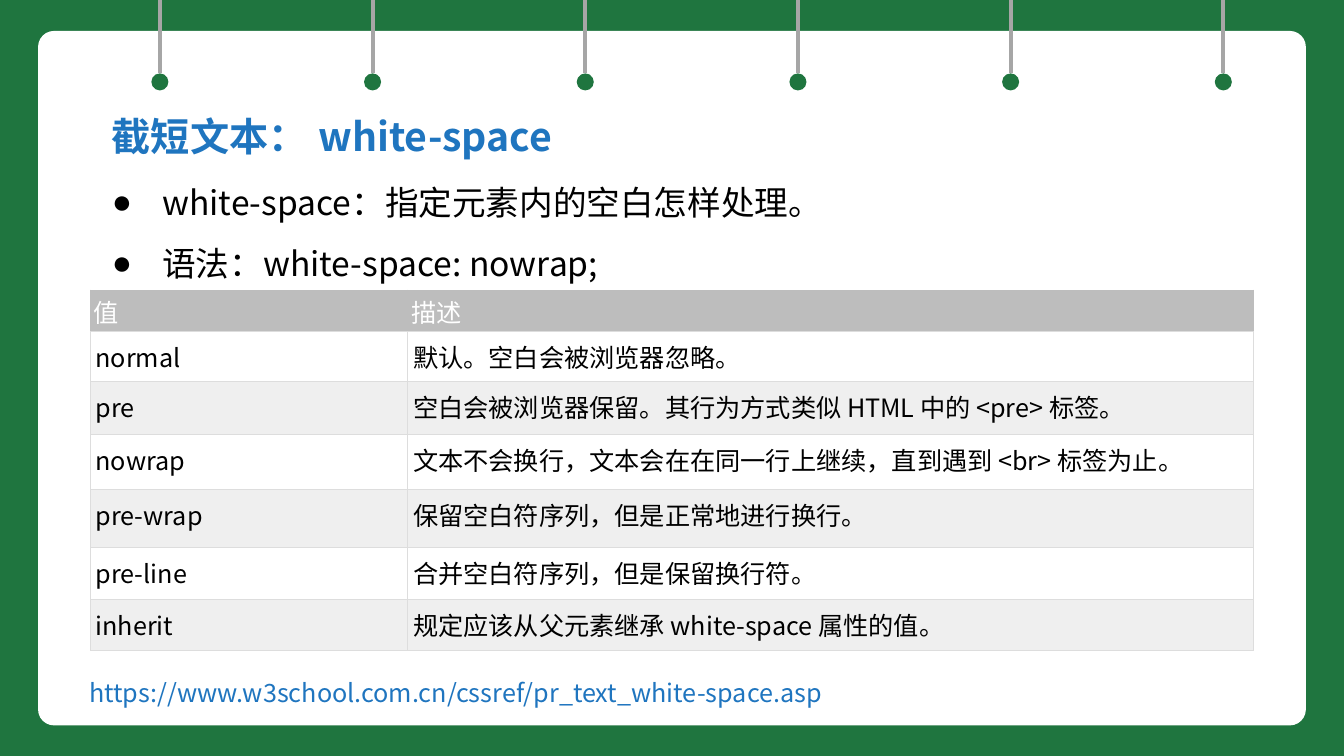
from dataclasses import dataclass

from lxml import etree
from pptx import Presentation
from pptx.dml.color import RGBColor
from pptx.enum.shapes import MSO_CONNECTOR, MSO_SHAPE
from pptx.enum.text import MSO_ANCHOR, MSO_AUTO_SIZE
from pptx.oxml.ns import qn
from pptx.util import Cm, Pt

ROUNDED, OVAL = MSO_SHAPE.ROUNDED_RECTANGLE, MSO_SHAPE.OVAL
STRAIGHT = MSO_CONNECTOR.STRAIGHT
TOP = MSO_ANCHOR.TOP
GROW = MSO_AUTO_SIZE.SHAPE_TO_FIT_TEXT

# Content
TITLE = [("截短文本", "Noto Sans CJK SC"), ("： ", "Arial"),
         ("white-space", "Noto Sans CJK SC")]
POINTS = ["white-space：指定元素内的空白怎样处理。", "语法：white-space: nowrap;"]
VALUES = [
    ("值", "描述"),
    ("normal", "默认。空白会被浏览器忽略。"),
    ("pre", "空白会被浏览器保留。其行为方式类似 HTML 中的 <pre> 标签。"),
    ("nowrap", "文本不会换行，文本会在在同一行上继续，直到遇到 <br> 标签为止。"),
    ("pre-wrap", "保留空白符序列，但是正常地进行换行。"),
    ("pre-line", "合并空白符序列，但是保留换行符。"),
    ("inherit", "规定应该从父元素继承 white-space 属性的值。"),
]
REFERENCE = "https://www.w3school.com.cn/cssref/pr_text_white-space.asp"

# Layout in centimetres
COLUMN_WIDTHS = [8.0, 21.31]
ROW_HEIGHTS = [1.04, 1.26, 1.33, 1.39, 1.46, 1.31, 1.29]
PIN_COUNT, PIN_FIRST, PIN_STEP = 6, 4.03, 5.36
PIN_LENGTH, PIN_SIZE = 1.85, 0.43


@dataclass(frozen=True)
class Theme:
    font: str = "Noto Sans CJK SC"
    green: str = "1F753F"
    blue: str = "1F75BF"
    white: str = "FFFFFF"
    black: str = "000000"
    cord: str = "A6A6A6"
    header: str = "BDBDBD"
    band: str = "EFEFEF"
    border: str = "DDDDDD"
    title_size: int = 28
    point_size: int = 24
    small_size: int = 18


THEME = Theme()


def rgb(code):
    return RGBColor.from_string(code)


def write(paragraph, text, *, size, color, font=THEME.font, bold=False, spacing=None):
    run = paragraph.add_run()
    run.text = text
    run.font.size, run.font.bold, run.font.name = Pt(size), bold, font
    run.font.color.rgb = rgb(color)
    etree.SubElement(run.font._element, qn("a:ea"), typeface=font)
    if spacing:
        paragraph.line_spacing = spacing


def add_box(slide, *place):
    frame = slide.shapes.add_textbox(*map(Cm, place)).text_frame
    frame.word_wrap = True
    frame.auto_size = GROW
    return frame


def add_plain(slide, kind, color, *place):
    shape = slide.shapes.add_shape(kind, *map(Cm, place))
    shape.shadow.inherit = False
    shape.fill.solid()
    shape.fill.fore_color.rgb = rgb(color)
    shape.line.fill.background()
    return shape


def add_bullet(paragraph):
    properties = paragraph._p.get_or_add_pPr()
    properties.set("marL", str(Cm(1.27)))
    properties.set("indent", str(-Cm(1.27)))
    etree.SubElement(properties, qn("a:buFont"), typeface="Arial")
    etree.SubElement(properties, qn("a:buChar"), char="●")


def set_borders(cell, colors):
    properties = cell._tc.get_or_add_tcPr()
    for side, color in zip("LRTB", colors):
        line = etree.SubElement(properties, qn(f"a:ln{side}"), w=str(Pt(0.75)))
        fill = etree.SubElement(line, qn("a:solidFill"))
        etree.SubElement(fill, qn("a:srgbClr"), val=color)


def add_backdrop(slide):
    slide.background.fill.solid()
    slide.background.fill.fore_color.rgb = rgb(THEME.green)
    card = add_plain(slide, ROUNDED, THEME.white, 0.96, 0.78, 31.95, 17.5)
    card.adjustments[0] = 0.023
    # Hanging pins
    for index in range(PIN_COUNT):
        center = PIN_FIRST + index * PIN_STEP
        bead = add_plain(slide, OVAL, THEME.green,
                         center - PIN_SIZE / 2, PIN_LENGTH, PIN_SIZE, PIN_SIZE)
        cord = slide.shapes.add_connector(
            STRAIGHT, Cm(center), Cm(0), Cm(center), Cm(PIN_LENGTH))
        cord.end_connect(bead, 0)
        cord.line.color.rgb = rgb(THEME.cord)
        cord.line.width = Pt(3)
        etree.SubElement(cord._element.spPr, qn("a:effectLst"))


def add_values(slide):
    table = slide.shapes.add_table(
        len(VALUES), len(COLUMN_WIDTHS), Cm(2.28), Cm(7.31),
        Cm(sum(COLUMN_WIDTHS)), Cm(sum(ROW_HEIGHTS))).table
    table.horz_banding = False
    for column, width in zip(table.columns, COLUMN_WIDTHS):
        column.width = Cm(width)
    for row, (height, texts) in enumerate(zip(ROW_HEIGHTS, VALUES)):
        table.rows[row].height = Cm(height)
        heading = row == 0
        edge = THEME.header if heading else THEME.border
        shade = THEME.header if heading else THEME.white if row % 2 else THEME.band
        for column, text in enumerate(texts):
            cell = table.cell(row, column)
            cell.margin_left = cell.margin_right = Cm(0.08 if heading else 0.13)
            cell.margin_top = cell.margin_bottom = Cm(0.08 if heading else 0.18)
            cell.vertical_anchor = TOP
            set_borders(cell, [edge, edge, edge if heading else THEME.border, THEME.border])
            cell.fill.solid()
            cell.fill.fore_color.rgb = rgb(shade)
            write(cell.text_frame.paragraphs[0], text, size=THEME.small_size,
                  color=THEME.white if heading else THEME.black)


def main():
    deck = Presentation()
    deck.slide_width, deck.slide_height = Cm(33.87), Cm(19.05)
    slide = deck.slides.add_slide(deck.slide_layouts[6])
    add_backdrop(slide)

    # Title
    title = add_box(slide, 2.57, 2.11, 28.73, 1.85).paragraphs[0]
    for text, font in TITLE:
        write(title, text, size=THEME.title_size, color=THEME.blue,
              font=font, bold=True, spacing=1.5)

    # Reference
    reference = add_box(slide, 2.0, 16.94, 22.1, 1.02).paragraphs[0]
    write(reference, REFERENCE, size=THEME.small_size, color=THEME.blue)

    # Points
    points = add_box(slide, 2.57, 3.96, 28.02, 3.15)
    for index, text in enumerate(POINTS):
        point = points.add_paragraph() if index else points.paragraphs[0]
        add_bullet(point)
        write(point, text, size=THEME.point_size, color=THEME.black, spacing=1.5)

    add_values(slide)
    deck.save("out.pptx")


if __name__ == "__main__":
    main()
